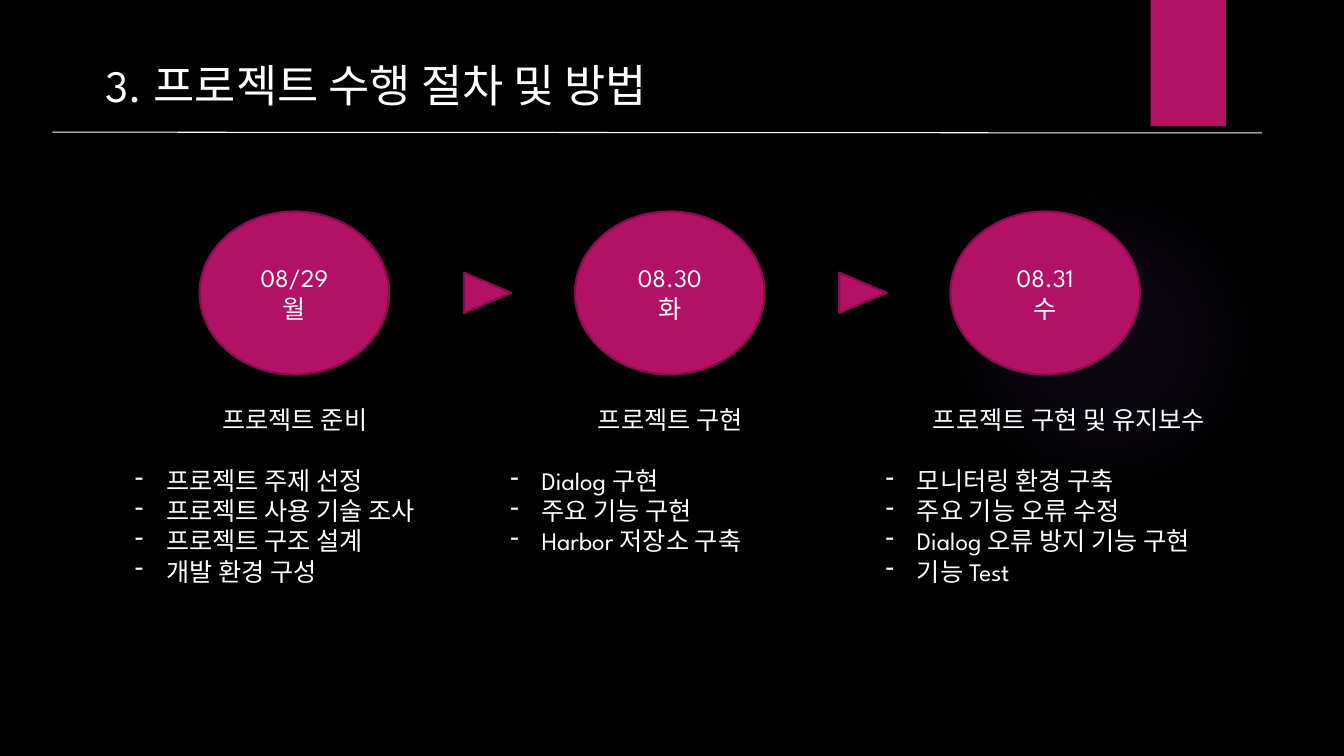
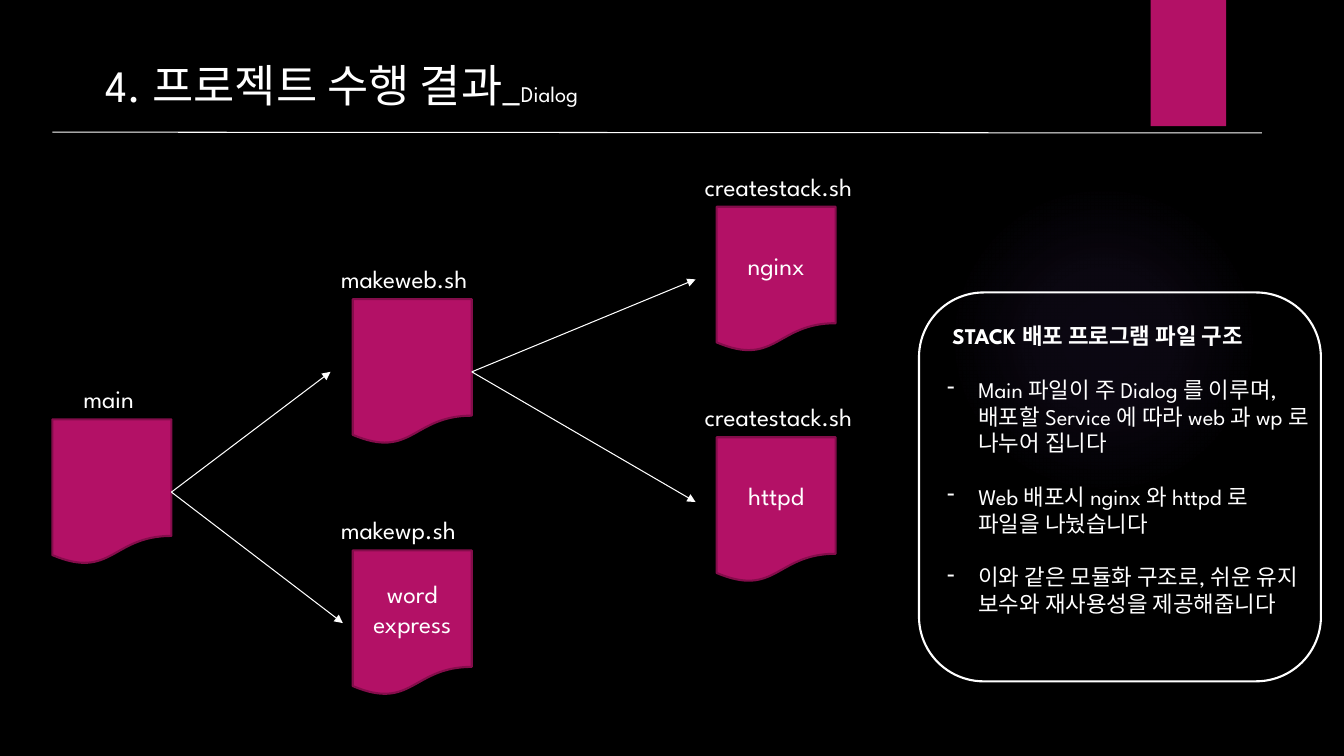
from dataclasses import dataclass

from lxml import etree
from pptx import Presentation
from pptx.dml.color import RGBColor
from pptx.enum.shapes import MSO_CONNECTOR, MSO_SHAPE
from pptx.enum.text import MSO_ANCHOR, PP_ALIGN
from pptx.oxml import parse_xml
from pptx.oxml.ns import nsdecls, qn
from pptx.util import Cm, Pt


@dataclass(frozen=True)
class Theme:
    font: str = "League Spartan"
    background: str = "000000"
    text: str = "FFFFFF"
    accent: str = "B31166"
    accent_edge: str = "840D4B"
    glow: str = "9B6BF2"
    title_size: int = 32
    body_size: int = 18
    note_size: int = 16
    edge_width: float = 1.5
    line_width: float = 0.75
    bullet_indent: float = 0.79


THEME = Theme()


def rgb(value):
    return RGBColor.from_string(value)


# Text
def write(frame, text, *, size=THEME.body_size, bold=False, align=PP_ALIGN.LEFT,
          bullet=False, before=0, indent=0, same_line=False):
    """Add a paragraph, or with same_line a run to the last one."""
    paragraph = frame.paragraphs[-1]
    if paragraph.runs and not same_line:
        paragraph = frame.add_paragraph()
    if not same_line:
        properties = paragraph._p.get_or_add_pPr()
        if bullet:
            properties.set("marL", str(Cm(THEME.bullet_indent)))
            properties.set("indent", str(-Cm(THEME.bullet_indent)))
            etree.SubElement(properties, qn("a:buChar"), char="-")
        elif indent:
            properties.set("marL", str(Cm(indent)))
        paragraph.alignment = align
        if before:
            paragraph.space_before = Pt(before)
    run = paragraph.add_run()
    run.text = text
    run.font.name = THEME.font
    run.font.size = Pt(size)
    run.font.bold = bold
    run.font.color.rgb = rgb(THEME.text)


def add_frame(slide, left, top, width, height):
    box = slide.shapes.add_textbox(Cm(left), Cm(top), Cm(width), Cm(height))
    box.text_frame.word_wrap = True
    return box.text_frame


# Shapes and lines
def add_figure(slide, kind, left, top, width, height, *, fill=THEME.accent,
               edge=THEME.accent_edge, lines=()):
    figure = slide.shapes.add_shape(kind, Cm(left), Cm(top), Cm(width), Cm(height))
    figure.shadow.inherit = False
    if fill:
        figure.fill.solid()
        figure.fill.fore_color.rgb = rgb(fill)
    else:
        figure.fill.background()
    if edge:
        figure.line.color.rgb = rgb(edge)
        figure.line.width = Pt(THEME.edge_width)
    else:
        figure.line.fill.background()
    figure.text_frame.vertical_anchor = MSO_ANCHOR.MIDDLE
    for line in lines:
        write(figure.text_frame, line, align=PP_ALIGN.CENTER)
    return figure


def add_line(slide, left, top, right, bottom, *, start=None, arrow=False):
    line = slide.shapes.add_connector(
        MSO_CONNECTOR.STRAIGHT, Cm(left), Cm(top), Cm(right), Cm(bottom))
    if start is not None:
        line.begin_connect(start, 3)
    line.line.color.rgb = rgb(THEME.text)
    line.line.width = Pt(THEME.line_width)
    if arrow:
        etree.SubElement(line.line._get_or_add_ln(), qn("a:tailEnd"), type="triangle")
    etree.SubElement(line._element.spPr, qn("a:effectLst"))


# Parts every slide shares
def add_glow(slide, left, top, size):
    glow = add_figure(slide, MSO_SHAPE.OVAL, left, top, size, size, fill=None, edge=None)
    stops = "".join(
        f'<a:gs pos="{position}000"><a:srgbClr val="{THEME.glow}">'
        f'<a:alpha val="{alpha}000"/></a:srgbClr></a:gs>'
        for position, alpha in ((0, 7), (36, 6), (69, 0)))
    gradient = parse_xml(
        f'<a:gradFill {nsdecls("a")}><a:gsLst>{stops}</a:gsLst><a:path path="circle">'
        '<a:fillToRect l="50000" t="50000" r="50000" b="50000"/></a:path></a:gradFill>')
    properties = glow._element.spPr
    properties.replace(properties.find(qn("a:noFill")), gradient)


def start_slide(deck, title, subtitle=""):
    slide = deck.slides.add_slide(deck.slide_layouts[6])
    slide.background.fill.solid()
    slide.background.fill.fore_color.rgb = rgb(THEME.background)
    add_glow(slide, 23.9, 4.65, 7.82)
    add_figure(slide, MSO_SHAPE.RECTANGLE, 29, 0, 1.9, 3.18, edge=None)
    heading = add_frame(slide, 2.41, 1.32, 17.78, 1.63)
    write(heading, title, size=THEME.title_size)
    if subtitle:
        write(heading, subtitle, size=THEME.note_size, same_line=True)
    add_line(slide, 1.32, 3.33, 31.8, 3.35)
    return slide


# Schedule: one column per day
def add_day(slide, left, top, width, date, phase, tasks):
    add_figure(slide, MSO_SHAPE.OVAL, left + 1.88, top, 4.78, 4.11, lines=date)
    plan = add_frame(slide, left, top + 4.73, width, 4.88)
    write(plan, phase, align=PP_ALIGN.CENTER)
    for position, task in enumerate(tasks):
        write(plan, task, bullet=True, before=0 if position else 22)


def add_step_marker(slide, center_x, center_y):
    width, height = 1.02, 1.2
    marker = add_figure(slide, MSO_SHAPE.ISOSCELES_TRIANGLE,
                        center_x - width / 2, center_y - height / 2, width, height)
    marker.rotation = 90


def build_schedule(deck):
    slide = start_slide(deck, "3. 프로젝트 수행 절차 및 방법")
    days = [
        (("08/29", "월"), "프로젝트 준비", 8.56,
         ["프로젝트 주제 선정", "프로젝트 사용 기술 조사",
          "프로젝트 구조 설계", "개발 환경 구성"]),
        (("08.30", "화"), "프로젝트 구현", 8.56,
         ["Dialog 구현", "주요 기능 구현", "Harbor 저장소 구축"]),
        (("08.31", "수"), "프로젝트 구현 및 유지보수", 9.73,
         ["모니터링 환경 구축", "주요 기능 오류 수정",
          "Dialog 오류 방지 기능 구현", "기능 Test"]),
    ]
    first_left, pitch, top = 3.15, 9.46, 5.33
    for column, (date, phase, width, tasks) in enumerate(days):
        left = first_left + column * pitch
        add_day(slide, left, top, width, date, phase, tasks)
        if column:
            add_step_marker(slide, left - 0.32, top + 2.05)


# File structure: scripts as documents joined by arrows
DOCUMENT_WIDTH, DOCUMENT_HEIGHT = 3, 3.66


def add_script_file(slide, left, top, name, label_shift, lines):
    document = add_figure(slide, MSO_SHAPE.FLOWCHART_DOCUMENT, left, top,
                          DOCUMENT_WIDTH, DOCUMENT_HEIGHT, lines=lines)
    write(add_frame(slide, left + label_shift, top - 1.03, 4.55, 1.02), name)
    return document


def add_file_tree(slide, left, top):
    second, third = left + 7.57, left + 16.74
    # key: left, top, file name, label shift, text, parent, arrow gap, arrow rise
    files = {
        "main": (left, top + 5.36, "main", 0.53, (), None, 0, 0),
        "web": (second, top + 2.33, "makeweb.sh", -0.55, (), "main", 0.56, 0),
        "wp": (second, top + 8.66, "makewp.sh", -0.55, ("word", "express"),
               "main", 0.25, 0),
        "httpd": (third, top + 5.81, "createstack.sh", -0.55, ("httpd",),
                  "web", 0.53, 0.2),
        "nginx": (third, top, "createstack.sh", -0.55, ("nginx",), "web", 0.53, 0),
    }
    documents = {}
    for key, (x, y, name, shift, lines, parent, gap, rise) in files.items():
        documents[key] = add_script_file(slide, x, y, name, shift, lines)
        if parent:
            add_line(slide, x, y, x - gap, y + DOCUMENT_HEIGHT / 2 - rise,
                     start=documents[parent], arrow=True)


def add_explanation(slide, left, top, width, height):
    add_figure(slide, MSO_SHAPE.ROUNDED_RECTANGLE, left, top, width, height,
               fill=None, edge=THEME.text)
    notes = add_frame(slide, left + 0.46, top + 0.63, width - 0.45, height - 1.34)
    write(notes, "STACK 배포 프로그램 파일 구조",
          size=THEME.note_size, bold=True, indent=0.13)
    for point in (
        "Main 파일이 주 Dialog 를 이루며, 배포할 Service 에 따라 web 과 wp 로 나누어 집니다",
        "Web 배포시 nginx 와 httpd 로 파일을 나눴습니다",
        "이와 같은 모듈화 구조로, 쉬운 유지 보수와 재사용성을 제공해줍니다",
    ):
        write(notes, point, size=THEME.note_size, bullet=True, before=19)


def build_file_structure(deck):
    slide = start_slide(deck, "4. 프로젝트 수행 결과_", "Dialog")
    add_file_tree(slide, 1.32, 5.21)
    add_explanation(slide, 23.16, 7.37, 10.13, 9.8)


def main():
    deck = Presentation()
    deck.slide_width, deck.slide_height = Cm(33.87), Cm(19.05)
    build_schedule(deck)
    build_file_structure(deck)
    deck.save("out.pptx")


if __name__ == "__main__":
    main()
